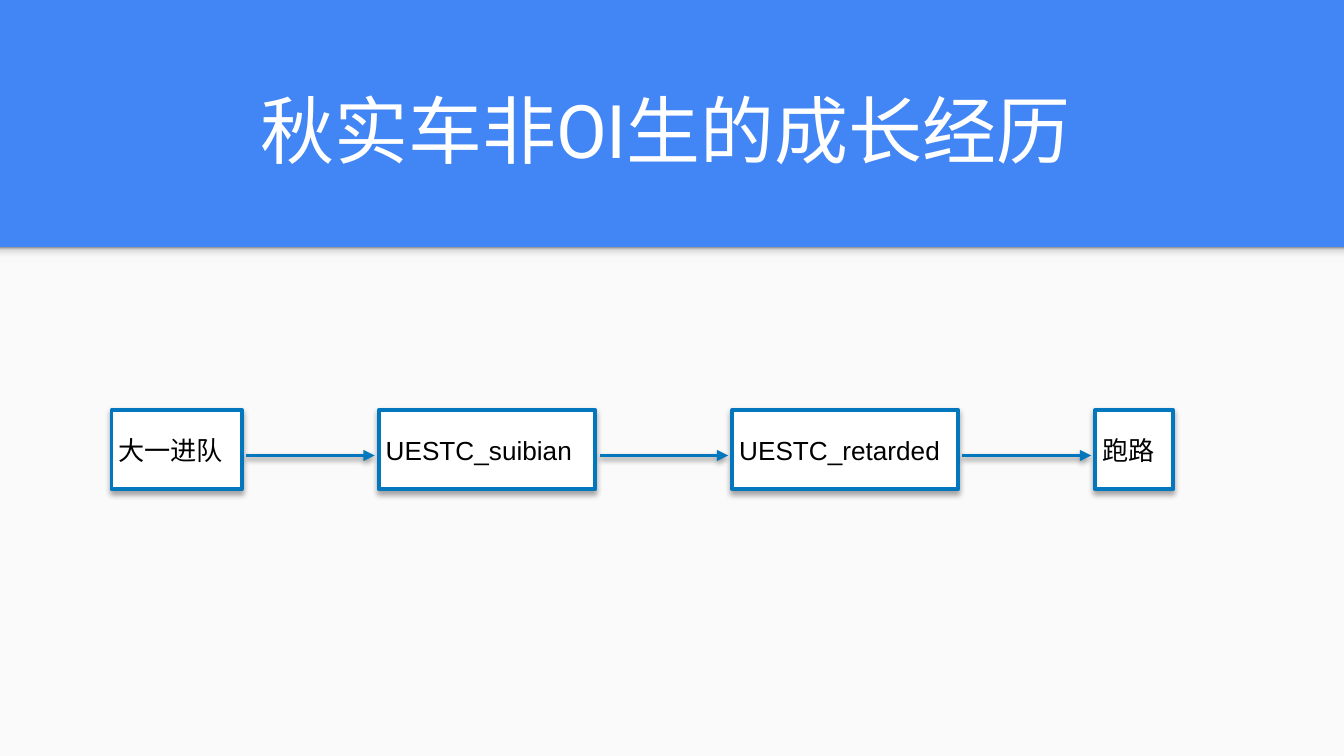
from lxml import etree
from pptx import Presentation
from pptx.dml.color import RGBColor
from pptx.enum.shapes import MSO_CONNECTOR, MSO_SHAPE
from pptx.enum.text import MSO_ANCHOR, MSO_AUTO_SIZE, PP_ALIGN
from pptx.oxml import parse_xml
from pptx.oxml.ns import qn
from pptx.util import Cm, Pt

RECT, LINE = MSO_SHAPE.RECTANGLE, MSO_CONNECTOR.STRAIGHT
MIDDLE, BOTTOM = MSO_ANCHOR.MIDDLE, MSO_ANCHOR.BOTTOM
NS = "http://schemas.openxmlformats.org/drawingml/2006/main"

TITLE = "秋实车非OI生的成长经历"
STEPS = [("大一进队", 2.46), ("UESTC_suibian", 4.09),
         ("UESTC_retarded", 4.27), ("跑路", 1.47)]  # text, width in cm
FADE = [(0, "F9F9F9"), (36, "F9F9F9"), (80, "DEDEDE"), (100, "999999")]

WIDTH, HEIGHT, HEAD = 25.4, 14.29, 4.67
LEFT, TOP, TALL, GAP = 2.11, 7.75, 1.5, 2.59
ARROW_Y, SPACE = 8.61, 0.08
BLUE, EDGE, PAPER, WHITE, BLACK = "4285F4", "0277BD", "FAFAFA", "FFFFFF", "000000"


def paint(fill, color):
    fill.solid()
    fill.fore_color.rgb = RGBColor.from_string(color)


def write(shape, text, font="Arial", size=14, color=BLACK, anchor=MIDDLE, inset=0.13):
    frame = shape.text_frame
    frame.word_wrap = True
    frame.auto_size = MSO_AUTO_SIZE.NONE
    frame.vertical_anchor = anchor
    frame.margin_left = frame.margin_right = Cm(inset)
    frame.margin_top = frame.margin_bottom = Cm(inset)
    para = frame.paragraphs[0]
    para.alignment = PP_ALIGN.LEFT
    run = para.add_run()
    run.text = text
    run.font.name, run.font.size = font, Pt(size)
    paint(run.font.fill, color)


def block(x, y, w, h, color):
    shape = slide.shapes.add_shape(RECT, Cm(x), Cm(y), Cm(w), Cm(h))
    shape.shadow.inherit = False
    shape.line.fill.background()
    paint(shape.fill, color)
    return shape


def fade(shape, stops):
    """Fill the shape with a gradient that runs from bottom to top."""
    marks = "".join(f'<a:gs pos="{pos * 1000}"><a:srgbClr val="{color}"/></a:gs>'
                    for pos, color in stops)
    old = shape._element.spPr.find(qn("a:solidFill"))
    old.getparent().replace(old, parse_xml(
        f'<a:gradFill xmlns:a="{NS}"><a:gsLst>{marks}</a:gsLst>'
        '<a:lin ang="16200000" scaled="0"/></a:gradFill>'))


def edge(shape, dist, alpha):
    """Give the shape a blue line and a soft shadow below."""
    paint(shape.line.fill, EDGE)
    shape.line.width = Pt(2)
    props = shape._element.spPr
    for old in props.findall(qn("a:effectLst")):
        props.remove(old)
    props.append(parse_xml(
        f'<a:effectLst xmlns:a="{NS}"><a:outerShdw blurRad="{Pt(3)}" '
        f'dist="{Pt(dist)}" dir="5400000" algn="t" rotWithShape="0">'
        f'<a:srgbClr val="{BLACK}"><a:alpha val="{alpha * 1000}"/></a:srgbClr>'
        '</a:outerShdw></a:effectLst>'))


def arrow(start, end):
    link = slide.shapes.add_connector(LINE, Cm(start), Cm(ARROW_Y), Cm(end), Cm(ARROW_Y))
    edge(link, 1.6, 38)
    etree.SubElement(link.line._get_or_add_ln(), qn("a:tailEnd"), type="triangle")


deck = Presentation()
deck.slide_width, deck.slide_height = Cm(WIDTH), Cm(HEIGHT)
slide = deck.slides.add_slide(deck.slide_layouts[5])
paint(slide.background.fill, BLUE)

block(0, HEAD, WIDTH, HEIGHT - HEAD, PAPER)
fade(block(0, HEAD, WIDTH, 0.3, PAPER), FADE)

title = slide.shapes.title
title.left, title.top, title.width, title.height = Cm(4.67), Cm(0.81), Cm(16.03), Cm(2.72)
write(title, TITLE, font="Roboto", size=39.6, color=WHITE, anchor=BOTTOM, inset=0.25)
slide.shapes._spTree.append(title._element)

x = LEFT
for i, (text, wide) in enumerate(STEPS):
    if i:
        arrow(x - GAP + SPACE, x - SPACE)
    box = block(x, TOP, wide, TALL, WHITE)
    edge(box, 1.8, 35)
    write(box, text)
    x += wide + GAP

deck.save("out.pptx")
